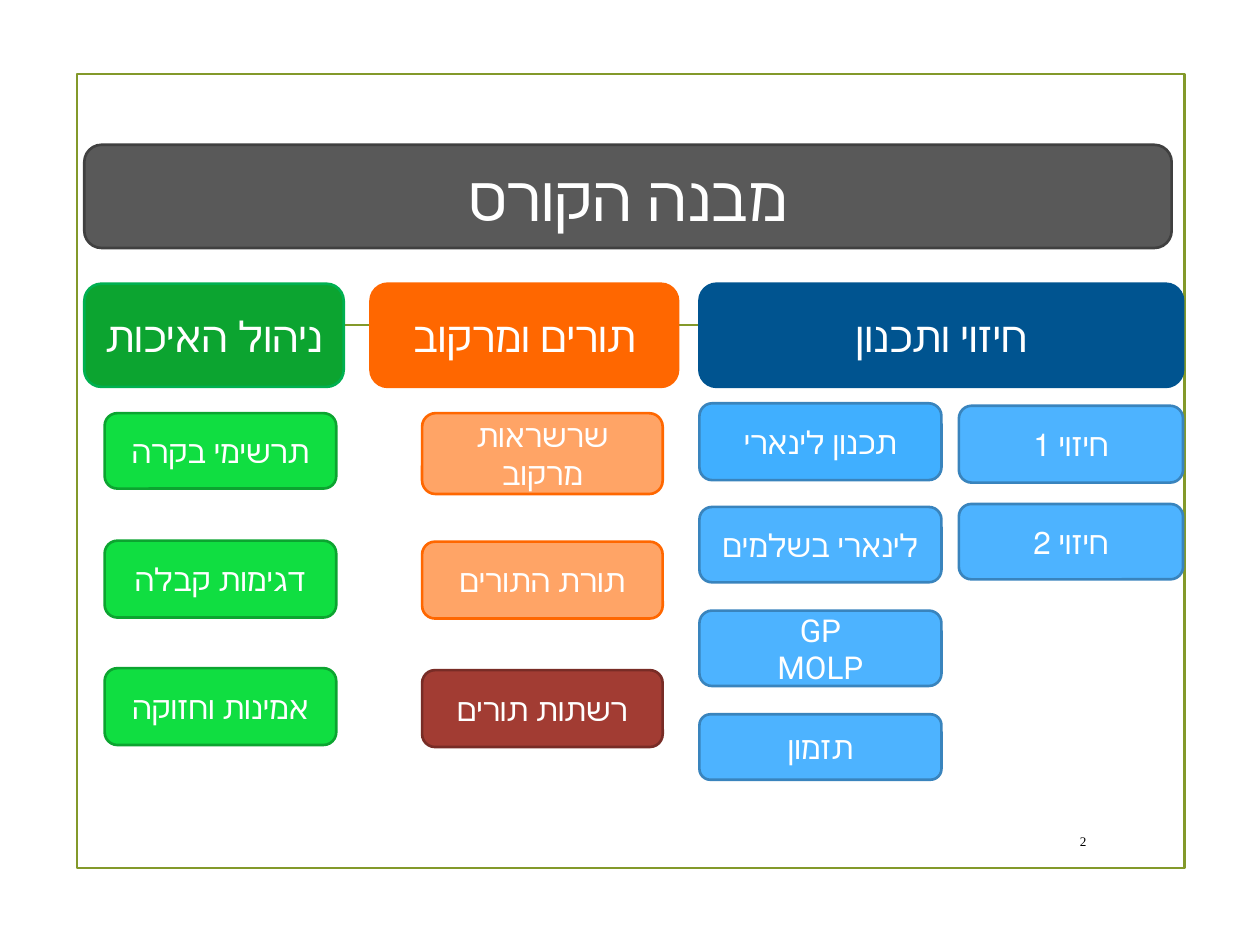
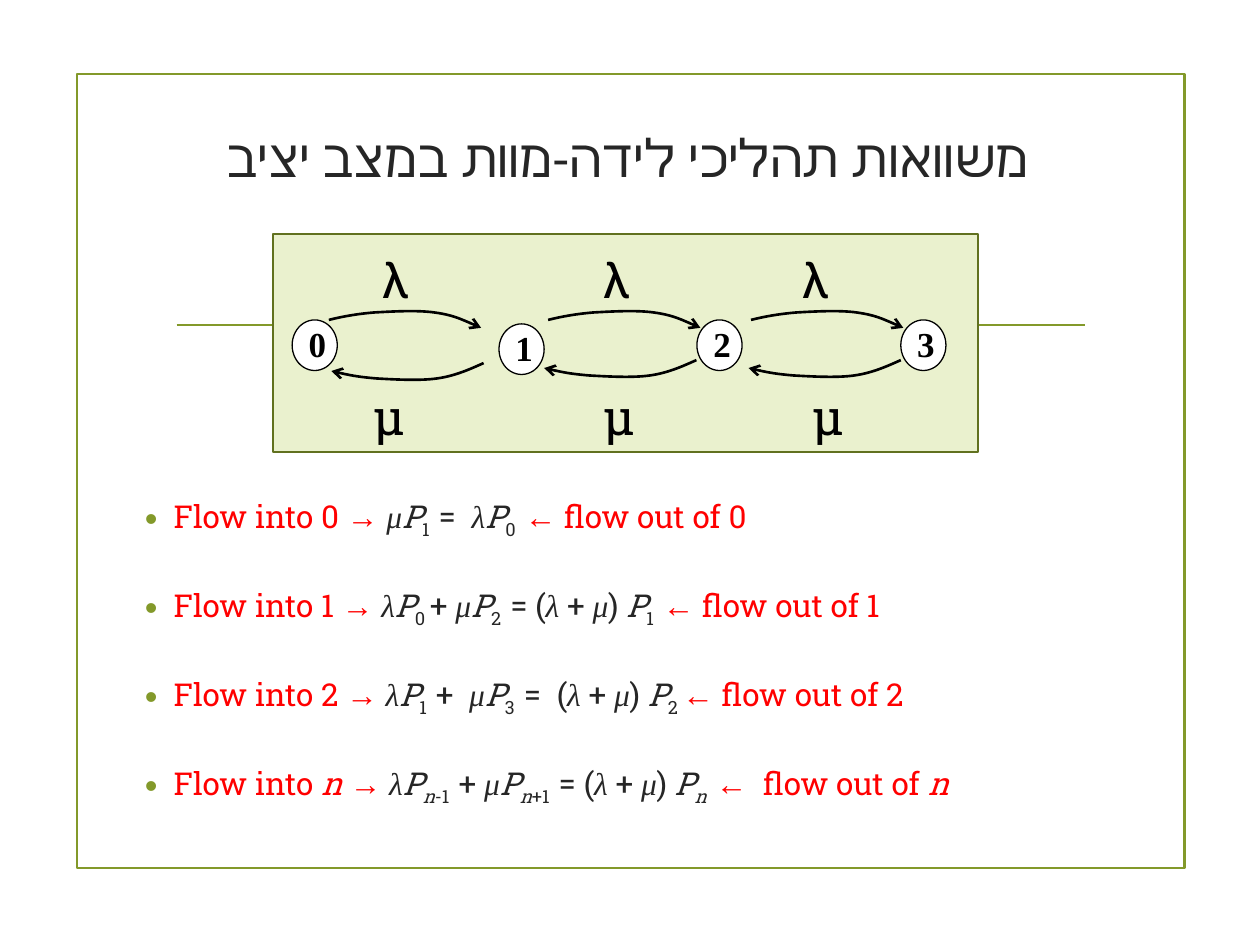
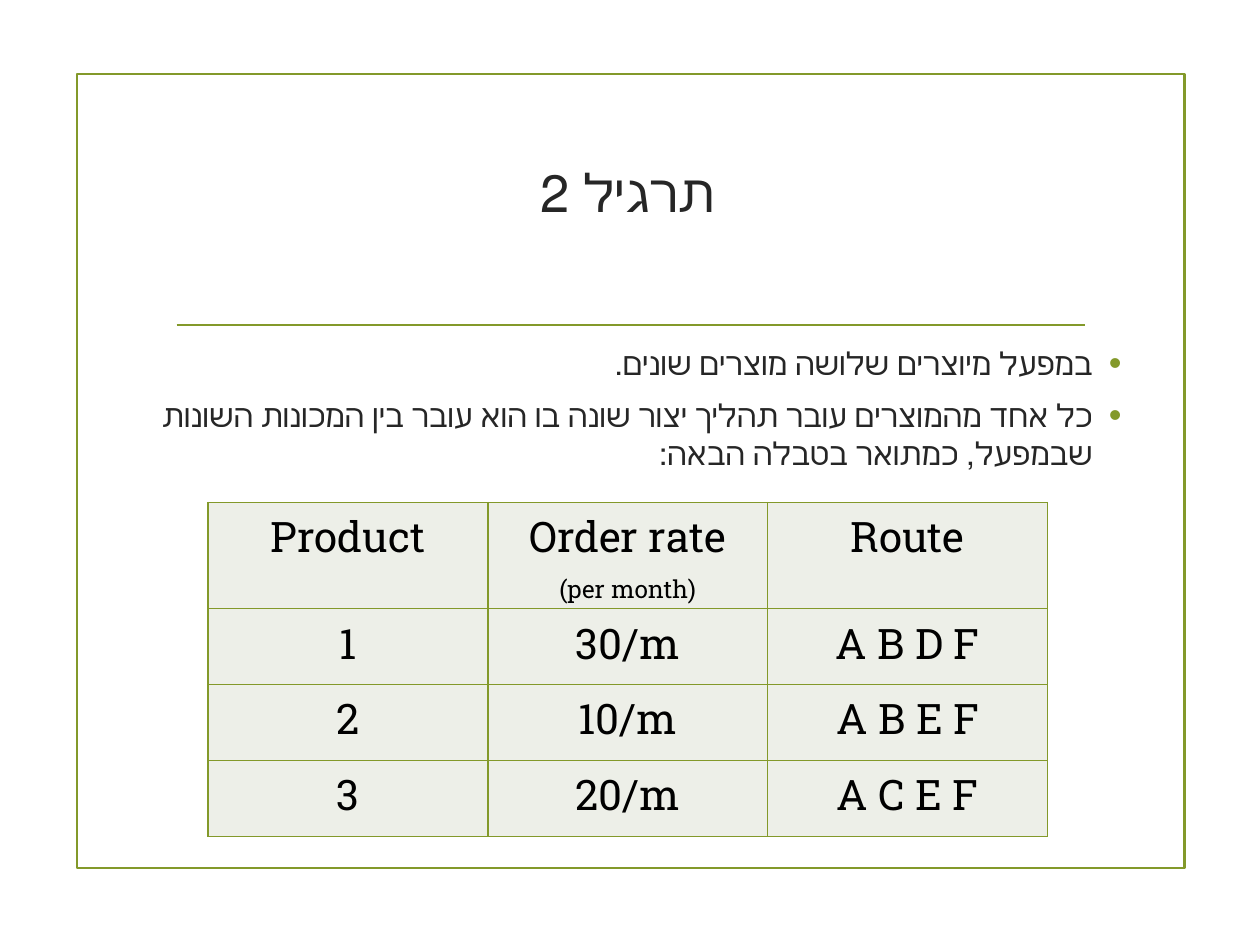
"""Builds three course slides: the course map, birth-death equations and an exercise."""
from pptx import Presentation
from pptx.dml.color import RGBColor as RGB
from pptx.enum.shapes import MSO_CONNECTOR as CONN, MSO_SHAPE as SHAPE
from pptx.enum.text import MSO_ANCHOR as ANCHOR, PP_ALIGN as ALIGN
from pptx.oxml.ns import qn
from pptx.util import Cm, Pt
from lxml.etree import SubElement as Sub

COLORS = {
    "accent": "83992A", "ink": "262626", "black": "000000", "white": "FFFFFF",
    "red": "FF0000", "grey": "595959", "grey_line": "404040",
    "orange": "FF6700", "orange_light": "FFA466", "brick": "A23C33", "brick_line": "782C26",
    "green": "0CA430", "green_line": "00B050", "green_light": "10DE41",
    "blue": "005490", "blue_light": "4DB3FF", "blue_mid": "40AFFF", "blue_line": "3984BD",
    "panel": "EAF1CE", "panel_line": "61711F", "cell": "EDEFE8",
}
SANS, SLAB, SERIF = "Roboto", "Roboto Slab", "Times New Roman"


def fmt(name, size, color, **extra):
    """Return the format values of a run."""
    return {"name": name, "size": Pt(size), "color": color, **extra}


FORMATS = {
    "title": fmt(SERIF, 30, "ink"),
    "body": fmt(SERIF, 18, "ink"),
    "number": fmt(SERIF, 7.5, "black"),
    "banner": fmt(SANS, 36, "white"),
    "header": fmt(SANS, 24, "white"),
    "topic": fmt(SANS, 18, "white"),
    "state": fmt(SERIF, 20, "black", bold=True),
    "rate": fmt(SLAB, 28, "black"),
    "cell": fmt(SLAB, 24, "black"),
    "unit": fmt(SLAB, 14, "black"),
    "flow": fmt(SLAB, 18, "red"),
    "flow_n": fmt(SLAB, 18, "red", italic=True),
    "arrow": fmt(SERIF, 18, "red", bold=True),
    "greek": fmt(SERIF, 18, "ink", italic=True),
    "var": fmt(SLAB, 18, "ink", italic=True),
    "op": fmt(SLAB, 18, "ink"),
    "sub": fmt(SLAB, 18, "ink", baseline=-25),
    "sub_n": fmt(SLAB, 18, "ink", italic=True, baseline=-25),
}

HEADERS = [
    ("תורים ומרקוב", 5.77, 6.2, "orange", "orange"),
    ("ניהול האיכות", 0, 5.23, "green", "green_line"),
    ("חיזוי ותכנון", 12.4, 9.75, "blue", "blue"),
]
BLUE, ORANGE, GREEN = ("blue_light", "blue_line"), ("orange_light", "orange"), ("green_light", "green")
COLUMNS = [
    (17.63, 5.26, 4.52, 1.98, [("חיזוי 1", 1.55, BLUE), ("חיזוי 2", 1.52, BLUE)]),
    (12.4, 5.21, 4.88, 2.09, [("תכנון לינארי", 1.55, ("blue_mid", "blue_line")),
                              ("לינארי בשלמים", 1.52, BLUE),
                              ("GP\nMOLP", 1.52, BLUE), ("תזמון", 1.32, BLUE)]),
    (6.81, 5.41, 4.85, 2.59, [("שרשראות מרקוב", 1.63, ORANGE), ("תורת התורים", 1.55, ORANGE),
                              ("רשתות תורים", 1.55, ("brick", "brick_line"))]),
    (0.41, 5.41, 4.67, 2.57, [("תרשימי בקרה", 1.52, GREEN), ("דגימות קבלה", 1.55, GREEN),
                              ("אמינות וחזוקה", 1.55, GREEN)]),
]
STATES = [(0.38, 1.73), (4.55, 1.81), (8.54, 1.73), (12.65, 1.73)]
BIRTHS = [(1.12, 1.53), (5.54, 1.53), (9.63, 1.53)]
DEATHS = [(1.17, 2.6), (5.46, 2.54), (9.58, 2.54)]
RATES = [("λ", 0.18, (1.96, 6.4, 10.42)), ("μ", 2.95, (1.78, 6.4, 10.62))]
ARC = [(3.07, 0.36), (2.78, 0.23), (2.49, 0.1), (2.13, 0.05), (1.78, 0),
       (1.27, 0.03), (0.91, 0.05), (0.56, 0.08), (0.28, 0.13), (0, 0.2)]
ARC_HEIGHT = 0.36
EQUATIONS = [
    "flow:Flow into 0 |arrow:→ |greek:μ|var:P|sub:1  |op:=  |greek:λ|var:P|sub:0  "
    "|arrow:←|flow: flow out of 0",
    "flow:Flow into 1 |arrow:→ |greek:λ|var:P|sub:0 |op:+ |greek:μ|var:P|sub:2  |op:= (|greek:λ "
    "|op:+ |greek:μ|op:)|var: P|sub:1  |arrow:←|flow: flow out of 1",
    "flow:Flow into 2 |arrow:→ |greek:λ|var:P|sub:1  |op:+  |greek:μ|var:P|sub:3  |op:=  (|greek:λ "
    "|op:+ |greek:μ|op:)|var: P|sub:2 |arrow:←|flow: flow out of 2",
    "flow:Flow into |flow_n:n|arrow: → |greek:λ|var:P|sub_n:n|sub:-1  |op:+ |greek:μ|var:P|sub_n:n"
    "|sub:+1  |op:= (|greek:λ |op:+ |greek:μ|op:) |var:P|sub_n:n  |arrow:←  |flow:flow out of "
    "|flow_n:n",
]
EXERCISE = ["במפעל מיוצרים שלושה מוצרים שונים.",
            "כל אחד מהמוצרים עובר תהליך יצור שונה בו הוא עובר בין המכונות השונות שבמפעל, "
            "כמתואר בטבלה הבאה:"]
ORDERS = [["Product", "Order rate\n(per month)", "Route"],
          ["1", "30/m", "A B D F"], ["2", "10/m", "A B E F"], ["3", "20/m", "A C E F"]]


def rgb(key):
    """Return the named colour."""
    return RGB.from_string(COLORS[key])


def cm(*values):
    """Convert centimetres to lengths."""
    return [Cm(v) for v in values]


def add_run(p, text, key):
    """Add a run in a named format."""
    r = p.add_run()
    r.text = text
    for name, value in FORMATS[key].items():
        if name == "color":
            r.font.color.rgb = rgb(value)
        elif name == "baseline":
            r.font._element.set("baseline", str(value * 1000))
        else:
            setattr(r.font, name, value)


def fill_text(tf, paragraphs, rtl=False, bullet=False, anchor=ANCHOR.TOP, **p_format):
    """Write paragraphs, each a list of (format, text) runs, into a text frame."""
    tf.word_wrap = True
    tf.vertical_anchor = anchor
    for i, runs in enumerate(paragraphs):
        p = tf.add_paragraph() if i else tf.paragraphs[0]
        for name, value in p_format.items():
            setattr(p, name, value)
        pPr = p._p.get_or_add_pPr()
        if rtl:
            pPr.set("rtl", "1")
        if bullet:
            add_bullet(pPr)
        for key, text in runs:
            add_run(p, text, key)


def add_bullet(pPr):
    """Give a paragraph a hanging accent bullet."""
    pPr.set("marL", str(Cm(0.58)))
    pPr.set("indent", str(-Cm(0.58)))
    Sub(Sub(pPr, qn("a:buClr")), qn("a:srgbClr"), val=COLORS["accent"])
    Sub(pPr, qn("a:buSzPct"), val="115000")
    Sub(pPr, qn("a:buFont"), typeface="Arial")
    Sub(pPr, qn("a:buChar"), char="•")


def add_text(s, box, paragraphs, **options):
    """Add a text box."""
    fill_text(s.shapes.add_textbox(*cm(*box)).text_frame, paragraphs, **options)


def paint(sp, fill, line, width):
    """Set fill and outline and drop the shadow."""
    sp.shadow.inherit = False
    if fill:
        sp.fill.solid()
        sp.fill.fore_color.rgb = rgb(fill)
    else:
        sp.fill.background()
    sp.line.color.rgb = rgb(line)
    sp.line.width = Pt(width)


def add_box(s, kind, box, fill, line, width=1.25):
    """Add a painted preset shape."""
    sp = s.shapes.add_shape(kind, *cm(*box))
    paint(sp, fill, line, width)
    return sp


def add_card(s, box, text, key, fill, line):
    """Add a rounded card with centred text."""
    sp = add_box(s, SHAPE.ROUNDED_RECTANGLE, box, fill, line, 1.5)
    fill_text(sp.text_frame, [[(key, t)] for t in text.split("\n")], rtl=True,
              anchor=ANCHOR.MIDDLE, alignment=ALIGN.CENTER)


def new_slide(prs):
    """Add a blank slide with the shared frame and divider."""
    s = prs.slides.add_slide(prs.slide_layouts[6])
    add_box(s, SHAPE.RECTANGLE, (1.55, 1.5, 22.33, 16), None, "accent")
    cxn = s.shapes.add_connector(CONN.STRAIGHT, *cm(3.56, 6.55, 21.87, 6.55))
    cxn.line.color.rgb = rgb("accent")
    cxn.line.width = Pt(1.25)
    Sub(cxn._element.spPr, qn("a:effectLst"))
    return s


def add_title(s, box, text, rtl=False):
    """Add the slide title."""
    add_text(s, box, [[("title", text)]], rtl=rtl, anchor=ANCHOR.MIDDLE, alignment=ALIGN.CENTER)


def course_map(s, box):
    """Draw the banner, the subject headers and the topic columns."""
    x, y, w, h = box
    add_card(s, (x, y, w, h), "מבנה הקורס", "banner", "grey", "grey_line")
    for text, dx, width, fill, line in HEADERS:
        add_card(s, (x + dx, y + 2.8, width, h), text, "header", fill, line)
    for dx, dy, width, pitch, topics in COLUMNS:
        for i, (text, height, colors) in enumerate(topics):
            add_card(s, (x + dx, y + dy + i * pitch, width, height), text, "topic", *colors)


def add_arc(s, x, y, birth):
    """Draw a curved arrow, bent up for a birth and down for a death."""
    points = [cm(x + px, y + (py if birth else ARC_HEIGHT - py)) for px, py in ARC]
    builder = s.shapes.build_freeform(*points[0])
    builder.add_line_segments(points[1:], close=False)
    sp = builder.convert_to_shape()
    paint(sp, None, "black", 1.5)
    path = sp._element.find(".//" + qn("a:path"))
    lines = path.findall(qn("a:lnTo"))
    for i in range(0, len(lines), 3):
        curve = Sub(path, qn("a:cubicBezTo"))
        for ln in lines[i:i + 3]:
            curve.append(ln[0])
            path.remove(ln)
    Sub(sp.line._get_or_add_ln(), qn("a:headEnd" if birth else "a:tailEnd"), type="arrow")


def state_diagram(s, box):
    """Draw the chain of states with its birth and death rates."""
    x, y = box[:2]
    add_box(s, SHAPE.RECTANGLE, box, "panel", "panel_line")
    for i, (dx, dy) in enumerate(STATES):
        add_box(s, SHAPE.OVAL, (x + dx, y + dy, 0.91, 1.02), "white", "black", 0.75)
        add_text(s, (x + dx + 0.08, y + dy - 0.07, 1.3, 1.93), [[("state", str(i))]])
    for arcs, birth in ((BIRTHS, True), (DEATHS, False)):
        for dx, dy in arcs:
            add_arc(s, x + dx, y + dy, birth)
    for symbol, dy, offsets in RATES:
        for dx in offsets:
            add_text(s, (x + dx, y + dy, 2, 1.27), [[("rate", symbol)]])


def equations(s, box):
    """List the flow balance equations."""
    rows = [[part.split(":") for part in row.split("|")] for row in EQUATIONS]
    add_text(s, box, rows, bullet=True, line_spacing=1.5, space_before=Pt(4), space_after=Pt(10))


def order_table(s, box):
    """Build the table of products, order rates and routes."""
    x, y, w, h = box
    tbl = s.shapes.add_table(len(ORDERS), len(ORDERS[0]), *cm(x, y, w, h)).table
    tbl.first_row = tbl.horz_banding = False
    for i, row in enumerate(ORDERS):
        tbl.rows[i].height = Cm(1.53 if i else h - 3 * 1.53)
        for j, text in enumerate(row):
            fill_cell(tbl.cell(i, j), text)


def fill_cell(cell, text):
    """Write, outline and fill a table cell."""
    runs = [[("unit" if t.startswith("(") else "cell", t)] for t in text.split("\n")]
    fill_text(cell.text_frame, runs, alignment=ALIGN.CENTER, space_before=Pt(4.8))
    tcPr = cell._tc.get_or_add_tcPr()
    for side in "LRTB":
        ln = Sub(tcPr, qn("a:ln" + side), w=str(Pt(1)))
        Sub(Sub(ln, qn("a:solidFill")), qn("a:srgbClr"), val=COLORS["accent"])
    cell.fill.solid()
    cell.fill.fore_color.rgb = rgb("cell")


def main():
    """Build the presentation."""
    prs = Presentation()
    prs.slide_width, prs.slide_height = cm(25.4, 19.05)

    s = new_slide(prs)
    add_text(s, (21.06, 16.56, 1.09, 0.79), [[("number", "2")]],
             anchor=ANCHOR.MIDDLE, alignment=ALIGN.RIGHT)
    course_map(s, (1.7, 2.92, 21.92, 2.08))

    s = new_slide(prs)
    state_diagram(s, (5.51, 4.72, 14.2, 4.39))
    add_title(s, (2.9, 1.93, 19.51, 2.46), "משוואות תהליכי לידה-מוות במצב יציב", rtl=True)
    equations(s, (2.67, 9.47, 22.4, 8.08))

    s = new_slide(prs)
    add_title(s, (2.9, 2.84, 19.51, 2.06), "תרגיל 2")
    add_text(s, (2.46, 6.81, 20.4, 9.75), [[("body", t)] for t in EXERCISE], rtl=True, bullet=True,
             alignment=ALIGN.RIGHT, space_before=Pt(3.6), space_after=Pt(4.5))
    order_table(s, (4.19, 10.13, 16.93, 6.73))
    prs.save("out.pptx")


if __name__ == "__main__":
    main()
